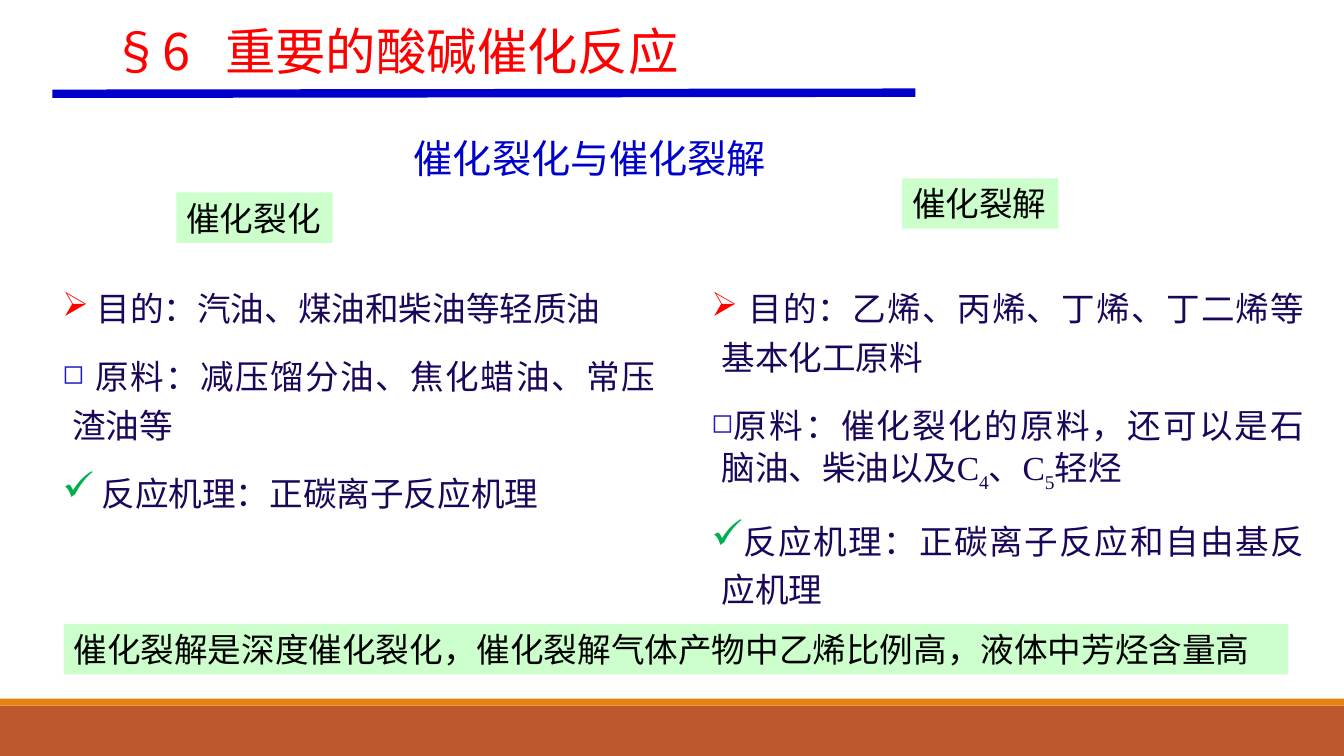
from dataclasses import dataclass

import pptx
import pptx.dml.color
import pptx.enum.shapes
import pptx.enum.text
import pptx.oxml
import pptx.oxml.ns
import pptx.presentation
import pptx.slide
import pptx.util
from lxml import etree

Pt = pptx.util.Pt
RGBColor = pptx.dml.color.RGBColor
qn = pptx.oxml.ns.qn
Align = pptx.enum.text.PP_ALIGN
Anchor = pptx.enum.text.MSO_ANCHOR

RUST = RGBColor(0xBD, 0x58, 0x2C)
ORANGE = RGBColor(0xE4, 0x83, 0x12)
BLUE = RGBColor(0x00, 0x00, 0xCC)
RED = RGBColor(0xFF, 0x00, 0x00)
INDIGO = RGBColor(0x1C, 0x06, 0x5A)
BULLET_BLUE = RGBColor(0x20, 0x1C, 0xC2)
GREEN = RGBColor(0x00, 0xB0, 0x50)
MINT = RGBColor(0xCC, 0xFF, 0xCC)
BLACK = RGBColor(0x00, 0x00, 0x00)

CJK_FONT = "Noto Sans CJK SC"
LATIN_FONT = "Times New Roman"
BODY_SIZE = 24
LINE_FACTOR = 1.44
HANGING = 7.2
COLUMN_TOP, COLUMN_WIDTH, COLUMN_HEIGHT = 196.5, 437.8, 216
TITLE_TAB = 81


@dataclass(frozen=True)
class Area:
    left: float
    top: float
    width: float
    height: float

    def lengths(self) -> tuple[int, int, int, int]:
        return Pt(self.left), Pt(self.top), Pt(self.width), Pt(self.height)


@dataclass(frozen=True)
class Span:
    text: str
    font: str = CJK_FONT
    subscript: bool = False


@dataclass(frozen=True)
class Bullet:
    mark: str
    color: RGBColor
    percent: int


@dataclass(frozen=True)
class Column:
    left: float
    items: tuple[tuple[Span, ...], ...]


@dataclass(frozen=True)
class Label:
    area: Area
    text: str


BULLETS = (
    Bullet("➢", RED, 100),
    Bullet("◻", BULLET_BLUE, 80),
    Bullet("✓", GREEN, 120),
)

COLUMNS = (
    Column(37.4, (
        (Span(" 目的：汽油、煤油和柴油等轻质油"),),
        (Span(" 原料：减压馏分油、焦化蜡油、常压渣油等"),),
        (Span(" 反应机理：正碳离子反应机理"),),
    )),
    Column(501.1, (
        (Span(" 目的：乙烯、丙烯、丁烯、丁二烯等基本化工原料"),),
        (
            Span("原料：催化裂化的原料，还可以是石脑油、柴油以及"),
            Span("C", LATIN_FONT),
            Span("4", LATIN_FONT, True),
            Span("、C", LATIN_FONT),
            Span("5", LATIN_FONT, True),
            Span("轻烃"),
        ),
        (Span("反应机理：正碳离子反应和自由基反应机理"),),
    )),
)

LABELS = (
    Label(Area(126, 137.5, 111.6, 36), "催化裂化"),
    Label(Area(644.4, 127.4, 111.6, 36), "催化裂解"),
    Label(Area(45.4, 445.7, 874.8, 36),
          "催化裂解是深度催化裂化，催化裂解气体产物中乙烯比例高，液体中芳烃含量高"),
)


def style(para, size: float, color: RGBColor) -> None:
    para.font.size = Pt(size)
    para.font.name = CJK_FONT
    para.font.color.rgb = color
    defaults = para._p.get_or_add_pPr().find(qn("a:defRPr"))
    etree.SubElement(defaults, qn("a:ea"), typeface=CJK_FONT)


def add_bullet(para, bullet: Bullet) -> None:
    properties = para._p.get_or_add_pPr()
    properties.set("marL", str(Pt(HANGING)))
    properties.set("indent", str(-Pt(HANGING)))
    color = etree.SubElement(properties, qn("a:buClr"))
    etree.SubElement(color, qn("a:srgbClr"), val=str(bullet.color))
    etree.SubElement(properties, qn("a:buSzPct"), val=str(bullet.percent * 1000))
    etree.SubElement(properties, qn("a:buChar"), char=bullet.mark)


def add_box(page: pptx.slide.Slide, area: Area):
    frame = page.shapes.add_textbox(*area.lengths()).text_frame
    frame.word_wrap = True
    return frame


def add_rectangle(page: pptx.slide.Slide, area: Area, fill: RGBColor):
    box = page.shapes.add_shape(
        pptx.enum.shapes.MSO_SHAPE.RECTANGLE, *area.lengths())
    box.shadow.inherit = False
    box.fill.solid()
    box.fill.fore_color.rgb = fill
    box.line.fill.background()
    return box


def add_title(page: pptx.slide.Slide) -> None:
    frame = add_box(page, Area(72.7, 10.1, 582.5, 51.1))
    frame.vertical_anchor = Anchor.MIDDLE
    para = frame.paragraphs[0]
    para.text = "§6\t重要的酸碱催化反应"
    tabs = etree.SubElement(para._p.get_or_add_pPr(), qn("a:tabLst"))
    etree.SubElement(tabs, qn("a:tab"), pos=str(Pt(TITLE_TAB)), algn="l")
    style(para, 36, RED)


def add_rule(page: pptx.slide.Slide) -> None:
    rule = page.shapes.add_connector(
        pptx.enum.shapes.MSO_CONNECTOR.STRAIGHT,
        Pt(37.4), Pt(67), Pt(653.8), Pt(66.2))
    rule.line.color.rgb = BLUE
    rule.line.width = Pt(6)
    etree.SubElement(rule._element.spPr, qn("a:effectLst"))


def add_heading(page: pptx.slide.Slide) -> None:
    para = add_box(page, Area(288.5, 85.7, 325, 48)).paragraphs[0]
    para.text = "催化裂化与催化裂解"
    para.line_spacing = Pt(28 * LINE_FACTOR)
    style(para, 28, BLUE)


def add_column(page: pptx.slide.Slide, column: Column) -> None:
    frame = add_box(
        page, Area(column.left, COLUMN_TOP, COLUMN_WIDTH, COLUMN_HEIGHT))
    for index, (spans, bullet) in enumerate(zip(column.items, BULLETS)):
        para = frame.add_paragraph() if index else frame.paragraphs[0]
        para.alignment = Align.JUSTIFY
        para.line_spacing = Pt(BODY_SIZE * LINE_FACTOR)
        para.space_before = Pt(12 if index else 0)
        para.space_after = Pt(2)
        add_bullet(para, bullet)
        style(para, BODY_SIZE, INDIGO)
        for span in spans:
            run = para.add_run()
            run.text = span.text
            if span.font != CJK_FONT:
                run.font.name = span.font
            if span.subscript:
                run._r.get_or_add_rPr().set("baseline", "-25000")


def add_label(page: pptx.slide.Slide, label: Label) -> None:
    frame = add_rectangle(page, label.area, MINT).text_frame
    frame.word_wrap = True
    frame.vertical_anchor = Anchor.MIDDLE
    para = frame.paragraphs[0]
    para.text = label.text
    para.alignment = Align.LEFT
    style(para, BODY_SIZE, BLACK)


def main() -> None:
    deck = pptx.Presentation()
    deck.slide_width, deck.slide_height = Pt(960), Pt(540)
    page = deck.slides.add_slide(deck.slide_layouts[6])
    add_rectangle(page, Area(0, 504, 960, 36), RUST)
    add_rectangle(page, Area(0, 499, 960, 5), ORANGE)
    add_heading(page)
    add_title(page)
    add_rule(page)
    for column in COLUMNS:
        add_column(page, column)
    for label in LABELS:
        add_label(page, label)
    deck.save("out.pptx")


if __name__ == "__main__":
    main()
